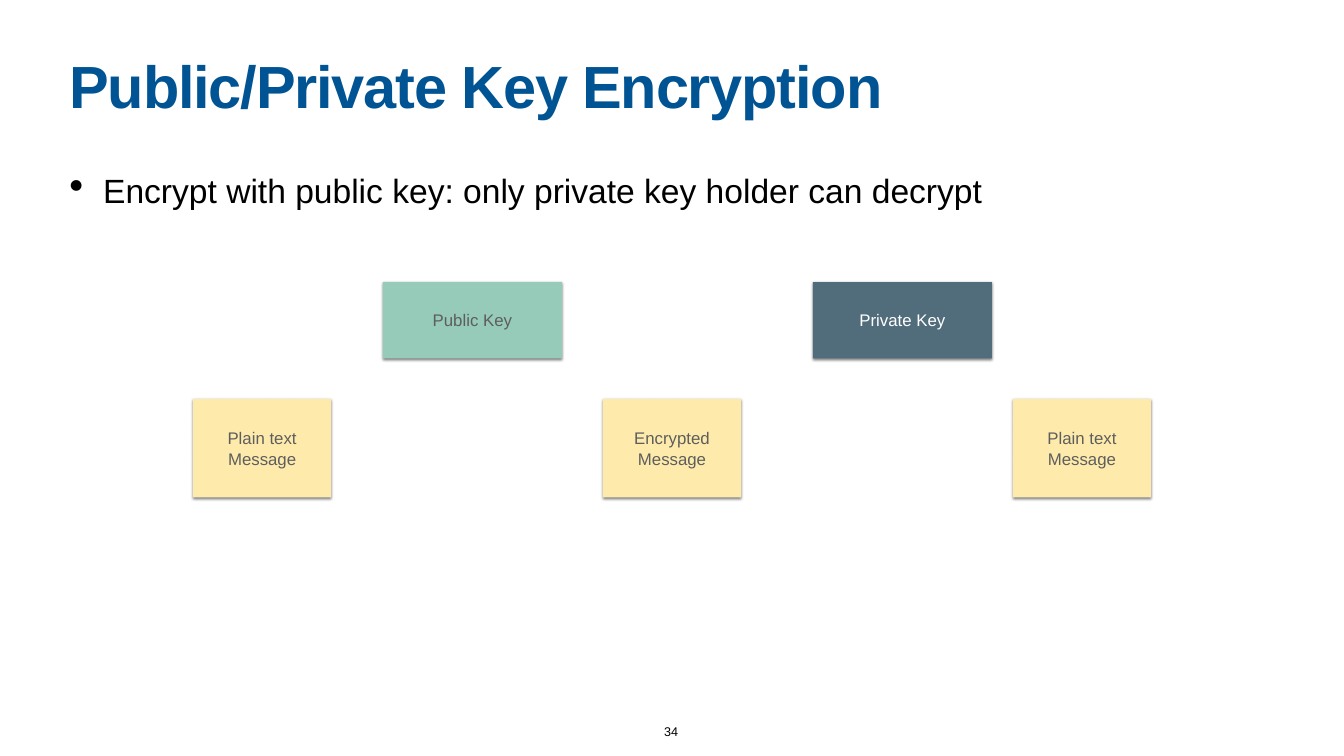
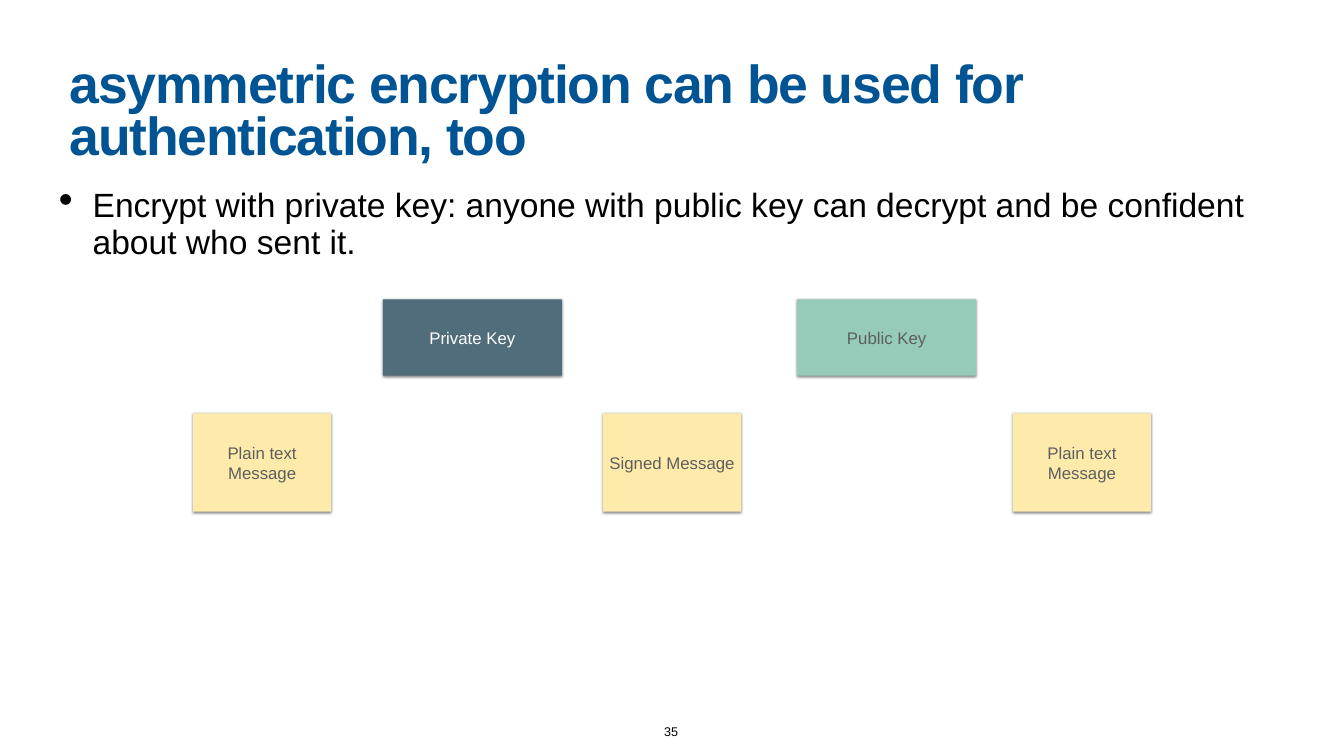
import pptx
import pptx.dml.color
import pptx.enum.shapes
import pptx.enum.text
import pptx.util
from dataclasses import dataclass
from lxml import etree
from pptx.enum.text import MSO_ANCHOR, MSO_AUTO_SIZE, PP_ALIGN
from pptx.util import Cm, Pt

DRAWING = "http://schemas.openxmlformats.org/drawingml/2006/main"


@dataclass(frozen=True)
class Theme:
    font: str = "Arial"
    white: str = "FFFFFF"
    black: str = "000000"
    title_blue: str = "005493"
    label_gray: str = "5E5E5E"
    public_green: str = "96CBB9"
    private_slate: str = "516D7C"
    message_yellow: str = "FEEBAB"
    title_size: float = 85
    long_title_size: float = 76.5
    body_size: float = 48
    label_size: float = 24
    number_size: float = 18
    title_spacing: int = -170  # hundredths of a point


def color(code):
    return pptx.dml.color.RGBColor.from_string(code)


def add_xml(parent, tag, **attributes):
    return etree.SubElement(parent, f"{{{DRAWING}}}{tag}", attributes)


class KeySlides:
    """Holds the theme and the slide being filled."""

    def __init__(self, deck, theme):
        self.deck = deck
        self.theme = theme
        self.page = None

    def start_page(self, number):
        self.page = self.deck.slides.add_slide(self.deck.slide_layouts[6])
        fill = self.page.background.fill
        fill.solid()
        fill.fore_color.rgb = color(self.theme.white)
        box = self.text_box(33.32, 36.35, 1.02, 1.04)
        frame = box.text_frame
        frame.word_wrap = False
        frame.auto_size = MSO_AUTO_SIZE.SHAPE_TO_FIT_TEXT
        frame.vertical_anchor = MSO_ANCHOR.BOTTOM
        para = frame.paragraphs[0]
        para.alignment = PP_ALIGN.CENTER
        self.span(para, str(number), self.theme.number_size, self.theme.black)

    def set_margins(self, frame, margin):
        frame.margin_left = frame.margin_right = Cm(margin)
        frame.margin_top = frame.margin_bottom = Cm(margin)
        frame.word_wrap = True

    def text_box(self, left, top, width, height):
        box = self.page.shapes.add_textbox(Cm(left), Cm(top), Cm(width), Cm(height))
        self.set_margins(box.text_frame, 0.15)
        return box

    def span(self, para, text, size, code, bold=False):
        span = para.add_run()
        span.text = text
        span.font.name = self.theme.font
        span.font.size = Pt(size)
        span.font.bold = bold
        span.font.color.rgb = color(code)
        return span

    def title(self, text, size):
        para = self.text_box(3.35, 3, 61.04, 3.99).text_frame.paragraphs[0]
        para.line_spacing = 0.8
        span = self.span(para, text, size, self.theme.title_blue, bold=True)
        span.font._element.set("spc", str(self.theme.title_spacing))

    def bullet(self, text, left, top):
        para = self.text_box(left, top, 61.04, 22.94).text_frame.paragraphs[0]
        properties = para._p.get_or_add_pPr()
        properties.set("marL", str(Cm(1.7)))
        properties.set("indent", str(-Cm(1.7)))
        add_xml(properties, "buSzPct", val="123000")
        add_xml(properties, "buChar", char="•")
        para.line_spacing = 0.9
        self.span(para, text, self.theme.body_size, self.theme.black)

    def card(self, text, left, top, width, height, fill, text_color):
        box = self.page.shapes.add_shape(
            pptx.enum.shapes.MSO_SHAPE.RECTANGLE,
            Cm(left), Cm(top), Cm(width), Cm(height))
        box.fill.solid()
        box.fill.fore_color.rgb = color(fill)
        box.line.fill.background()
        self.drop_shadow(box)
        frame = box.text_frame
        self.set_margins(frame, 0.2)
        frame.vertical_anchor = MSO_ANCHOR.MIDDLE
        para = frame.paragraphs[0]
        para.alignment = PP_ALIGN.CENTER
        self.span(para, text, self.theme.label_size, text_color)

    def drop_shadow(self, box):
        box.shadow.inherit = False
        effects = box._element.spPr.find(f"{{{DRAWING}}}effectLst")
        shadow = add_xml(effects, "outerShdw", blurRad=str(Pt(4)), dist=str(Pt(2)),
                         dir="5400000", rotWithShape="0")
        tint = add_xml(shadow, "srgbClr", val=self.theme.black)
        add_xml(tint, "alpha", val="50000")

    def public_key(self, left, top):
        self.card("Public Key", left, top, 9.02, 3.84,
                  self.theme.public_green, self.theme.label_gray)

    def private_key(self, left, top):
        self.card("Private Key", left, top, 9.02, 3.84,
                  self.theme.private_slate, self.theme.white)

    def messages(self, middle, top):
        labels = ("Plain text Message", middle, "Plain text Message")
        for column, label in enumerate(labels):
            self.card(label, 9.73 + 20.66 * column, top, 6.96, 4.95,
                      self.theme.message_yellow, self.theme.label_gray)


def main():
    deck = pptx.Presentation()
    deck.slide_width, deck.slide_height = Cm(67.74), Cm(38.1)
    theme = Theme()
    slides = KeySlides(deck, theme)

    # Encryption with the public key
    slides.start_page(34)
    slides.title("Public/Private Key Encryption", theme.title_size)
    slides.bullet("Encrypt with public key: only private key holder can decrypt", 3.35, 8.66)
    slides.public_key(19.3, 14.22)
    slides.private_key(40.97, 14.22)
    slides.messages("Encrypted Message", 20.12)

    # Signing with the private key
    slides.start_page(35)
    slides.title("asymmetric encryption can be used for authentication, too",
                 theme.long_title_size)
    slides.bullet("Encrypt with private key: anyone with public key can decrypt "
                  "and be confident about who sent it.", 2.82, 9.37)
    slides.public_key(40.18, 15.09)
    slides.private_key(19.3, 15.09)
    slides.messages("Signed Message", 20.83)

    deck.save("out.pptx")


if __name__ == "__main__":
    main()
